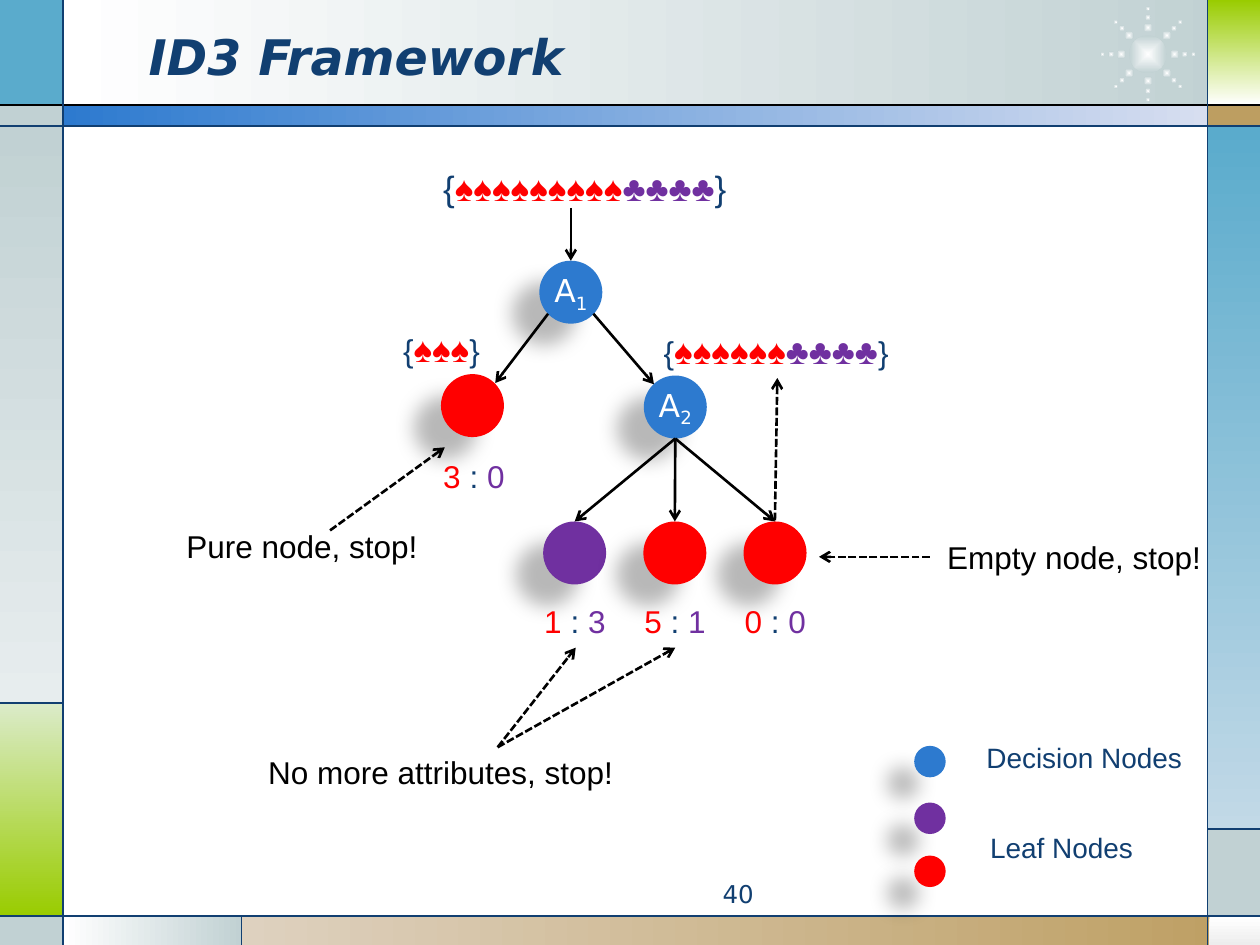
from dataclasses import dataclass
from math import cos, radians, sin

from lxml import etree
from pptx import Presentation
from pptx.dml.color import RGBColor
from pptx.enum.dml import MSO_LINE
from pptx.enum.shapes import MSO_CONNECTOR, MSO_SHAPE
from pptx.enum.text import MSO_ANCHOR, PP_ALIGN
from pptx.oxml.ns import qn
from pptx.util import Pt

RECTANGLE, OVAL = MSO_SHAPE.RECTANGLE, MSO_SHAPE.OVAL
STRAIGHT = MSO_CONNECTOR.STRAIGHT
DASHED = MSO_LINE.SQUARE_DOT
LEFT, CENTER, RIGHT = PP_ALIGN.LEFT, PP_ALIGN.CENTER, PP_ALIGN.RIGHT
TOP, MIDDLE = MSO_ANCHOR.TOP, MSO_ANCHOR.MIDDLE


def color(value):
    return RGBColor.from_string(value)


@dataclass(frozen=True)
class Theme:
    navy: RGBColor = color("113F71")
    blue: RGBColor = color("2D7ACF")
    pale_blue: RGBColor = color("D7DEF0")
    sky: RGBColor = color("5AABCC")
    pale_sky: RGBColor = color("C2D9E7")
    gray: RGBColor = color("C1D1D3")
    pale_gray: RGBColor = color("E7EDEE")
    silver: RGBColor = color("EDEDED")
    green: RGBColor = color("99CC00")
    pale_green: RGBColor = color("DBEBC9")
    tan: RGBColor = color("BD9E61")
    pale_tan: RGBColor = color("DED1BF")
    red: RGBColor = color("FF0000")
    purple: RGBColor = color("7030A0")
    white: RGBColor = color("FFFFFF")
    black: RGBColor = color("000000")
    heading_font: str = "DejaVu Sans"
    body_font: str = "Arial"
    title_size: float = 28
    card_size: float = 20
    body_size: float = 18
    legend_size: float = 16
    number_size: float = 14


THEME = Theme()


def add_child(parent, tag, **attributes):
    child = etree.SubElement(parent, qn(tag))
    for name, value in attributes.items():
        child.set(name, str(value))
    return child


def add_filled(page, kind, left, top, width, height, start, end=None, angle=0):
    shape = page.shapes.add_shape(kind, Pt(left), Pt(top), Pt(width), Pt(height))
    shape.shadow.inherit = False
    shape.line.fill.background()
    if end is None:
        shape.fill.solid()
        shape.fill.fore_color.rgb = start
    else:
        shape.fill.gradient()
        shape.fill.gradient_angle = angle
        for stop, stop_color in zip(shape.fill.gradient_stops, (start, end)):
            stop.color.rgb = stop_color
    return shape


def add_line(page, start, end, line_color=THEME.black, width=1.5, arrow=True, dash=None):
    line = page.shapes.add_connector(STRAIGHT, *(Pt(value) for value in (*start, *end)))
    line.line.color.rgb = line_color
    line.line.width = Pt(width)
    if dash is not None:
        line.line.dash_style = dash
    if arrow:
        add_child(line.line._get_or_add_ln(), "a:tailEnd", type="arrow")
    add_child(line._element.spPr, "a:effectLst")


def write_text(shape, text, size=THEME.body_size, font=THEME.body_font, ink=THEME.black,
               align=LEFT, anchor=TOP, wrap=False, bold=False, italic=False):
    frame = shape.text_frame
    frame.word_wrap = wrap
    frame.vertical_anchor = anchor
    para = frame.paragraphs[0]
    para.alignment = align
    pieces = [(text, {})] if isinstance(text, str) else text
    for words, changes in pieces:
        span = para.add_run()
        span.text = words
        span.font.name = font
        span.font.size = Pt(changes.get("size", size))
        span.font.bold, span.font.italic = bold, italic
        span.font.color.rgb = changes.get("ink", ink)
        if "baseline" in changes:
            span._r.get_or_add_rPr().set("baseline", str(changes["baseline"]))


def add_label(page, left, top, width, height, text, **text_format):
    box = page.shapes.add_textbox(Pt(left), Pt(top), Pt(width), Pt(height))
    write_text(box, text, **text_format)


def add_node(page, center, fill, diameter=36, index=None):
    left, top = (value - diameter / 2 for value in center)
    node = add_filled(page, OVAL, left, top, diameter, diameter, fill)
    effects = node._element.spPr.find(qn("a:effectLst"))
    shadow = add_child(effects, "a:outerShdw", blurRad=Pt(11.8), dist=Pt(19.7),
                       dir=141 * 60000, algn="ctr", rotWithShape=0)
    add_child(add_child(shadow, "a:srgbClr", val=THEME.black), "a:alpha", val=28000)
    if index is not None:
        frame = node.text_frame
        frame.margin_left = frame.margin_right = frame.margin_top = frame.margin_bottom = 0
        write_text(node, [("A", {}), (index, {"baseline": -25000})], ink=THEME.white,
                   font=THEME.heading_font, align=CENTER, anchor=MIDDLE)


def add_ratio(page, center_x, top, red_count, purple_count):
    add_label(page, center_x - 24.5, top, 49.7, 28.8, [
        (f"{red_count} ", {"ink": THEME.red}),
        (": ", {"ink": THEME.navy}),
        (str(purple_count), {"ink": THEME.purple})])


def add_cards(page, left, top, width, spades, clubs=0, brace_size=THEME.body_size):
    brace = {"ink": THEME.navy, "size": brace_size}
    pieces = [("{", brace), ("♠" * spades, {"ink": THEME.red})]
    if clubs:
        pieces.append(("♣" * clubs, {"ink": THEME.purple}))
    add_label(page, left, top, width, 31.7, pieces + [("}", brace)], size=THEME.card_size)


def add_dot(page, center_x, center_y, diameter):
    dot = add_filled(page, OVAL, center_x - diameter / 2, center_y - diameter / 2,
                     diameter, diameter, THEME.white, THEME.gray)
    gradient = dot._element.spPr.find(qn("a:gradFill"))
    gradient.remove(gradient.find(qn("a:lin")))
    radial = add_child(gradient, "a:path", path="shape")
    add_child(radial, "a:fillToRect", l=50000, t=50000, r=50000, b=50000)


def draw_star(page, center_x=656, center_y=31):
    add_dot(page, center_x, center_y, 21.6)
    for angle in range(0, 360, 45):
        for radius, diameter in ((15.2, 5.2), (21, 3.4), (26, 2.5)):
            add_dot(page, center_x + radius * cos(radians(angle)),
                    center_y + radius * sin(radians(angle)), diameter)


def draw_frame(page):
    theme = THEME
    panels = [
        (36, 0, 667.4, 60.5, theme.white, theme.gray),
        (0, 0, 36, 60.5, theme.sky),
        (0, 60, 36, 12, theme.gray),
        (0, 72, 36, 329.8, theme.gray, theme.pale_gray, 270),
        (0, 401.8, 36, 121.7, theme.pale_green, theme.green, 270),
        (0, 523.5, 36, 16.5, theme.gray),
        (36, 523.5, 102.2, 16.5, theme.white, theme.gray),
        (138.2, 523.5, 581.8, 16.5, theme.pale_tan, theme.tan),
        (691, 523.5, 29, 16.5, theme.white, theme.silver, 270),
        (690, 473.8, 30, 49.7, theme.gray),
        (690, 72, 30, 401.8, theme.sky, theme.pale_sky, 270),
        (690, 60, 30, 12, theme.tan),
        (690, 0, 30, 60, theme.green, theme.white, 270),
        (36, 60, 654, 12, theme.blue, theme.pale_blue)]
    for panel in panels:
        add_filled(page, RECTANGLE, *panel)
    draw_star(page)
    add_line(page, (0, 60), (720, 60), width=0.75, arrow=False)
    rules = [((0, 72), (720, 72)), ((0, 523.5), (720, 523.5)),
             ((36, 0), (36, 540)), ((690, 0), (690, 540)),
             ((0, 401.8), (36, 401.8)), ((138.2, 523.5), (138.2, 540)),
             ((690, 473.8), (720, 473.8))]
    for start, end in rules:
        add_line(page, start, end, line_color=theme.navy, width=0.75, arrow=False)


def draw_tree(page):
    add_node(page, (326.2, 167), THEME.blue, index="1")
    add_node(page, (385.9, 232.6), THEME.blue, index="2")
    add_node(page, (270, 231.8), THEME.red)
    add_ratio(page, 270.7, 257.8, 3, 0)
    add_line(page, (326.2, 118.8), (326.2, 149))
    add_line(page, (339.1, 179.3), (373.7, 219.6))
    add_line(page, (313.2, 179.3), (283, 218.9))
    leaves = [(THEME.purple, 1, 3), (THEME.red, 5, 1), (THEME.red, 0, 0)]
    for position, (fill, red_count, purple_count) in enumerate(leaves):
        center_x = 328.4 + 57.25 * position
        add_node(page, (center_x, 316), fill)
        add_line(page, (385.9, 250.6), (center_x, 298))
        add_ratio(page, center_x, 340.5, red_count, purple_count)
    add_cards(page, 246.2, 91.4, 177.8, 9, 4, brace_size=THEME.card_size)
    add_cards(page, 372.2, 185, 144, 6, 4)
    add_cards(page, 223.2, 183.6, 59, 3)


def draw_notes(page):
    add_label(page, 99.4, 297.4, 147.6, 28.8, "Pure node, stop!")
    add_label(page, 146.2, 427, 213.1, 28.8, "No more attributes, stop!")
    add_label(page, 534.2, 303.8, 161.3, 28.8, "Empty node, stop!")
    pointers = [((188.6, 303.1), (254.2, 255.6)), ((284.4, 427), (385.9, 370.1)),
                ((284.4, 427), (329, 370.1)), ((531.4, 318.2), (468, 318.2)),
                ((442.8, 297.4), (444.2, 216))]
    for start, end in pointers:
        add_line(page, start, end, dash=DASHED)


def draw_legend(page):
    for center_y, fill in ((435.2, THEME.blue), (467.6, THEME.purple), (497.9, THEME.red)):
        add_node(page, (531.4, center_y), fill, diameter=18)
    for left, top, width, text in ((556.6, 419.8, 127.4, "Decision Nodes"),
                                   (558.7, 470.9, 97.2, "Leaf Nodes")):
        add_label(page, left, top, width, 26.6, text, size=THEME.legend_size, ink=THEME.navy)


def main():
    deck = Presentation()
    deck.slide_width, deck.slide_height = Pt(720), Pt(540)
    page = deck.slides.add_slide(deck.slide_layouts[6])
    draw_frame(page)
    add_label(page, 77.8, 9.4, 527.8, 44.6, "ID3 Framework", size=THEME.title_size,
              font=THEME.heading_font, ink=THEME.navy, anchor=MIDDLE, wrap=True,
              bold=True, italic=True)
    add_label(page, 270, 499, 167.8, 19.4, "40", size=THEME.number_size,
              font=THEME.heading_font, ink=THEME.navy, align=RIGHT, wrap=True)
    draw_tree(page)
    draw_notes(page)
    draw_legend(page)
    deck.save("out.pptx")


if __name__ == "__main__":
    main()
